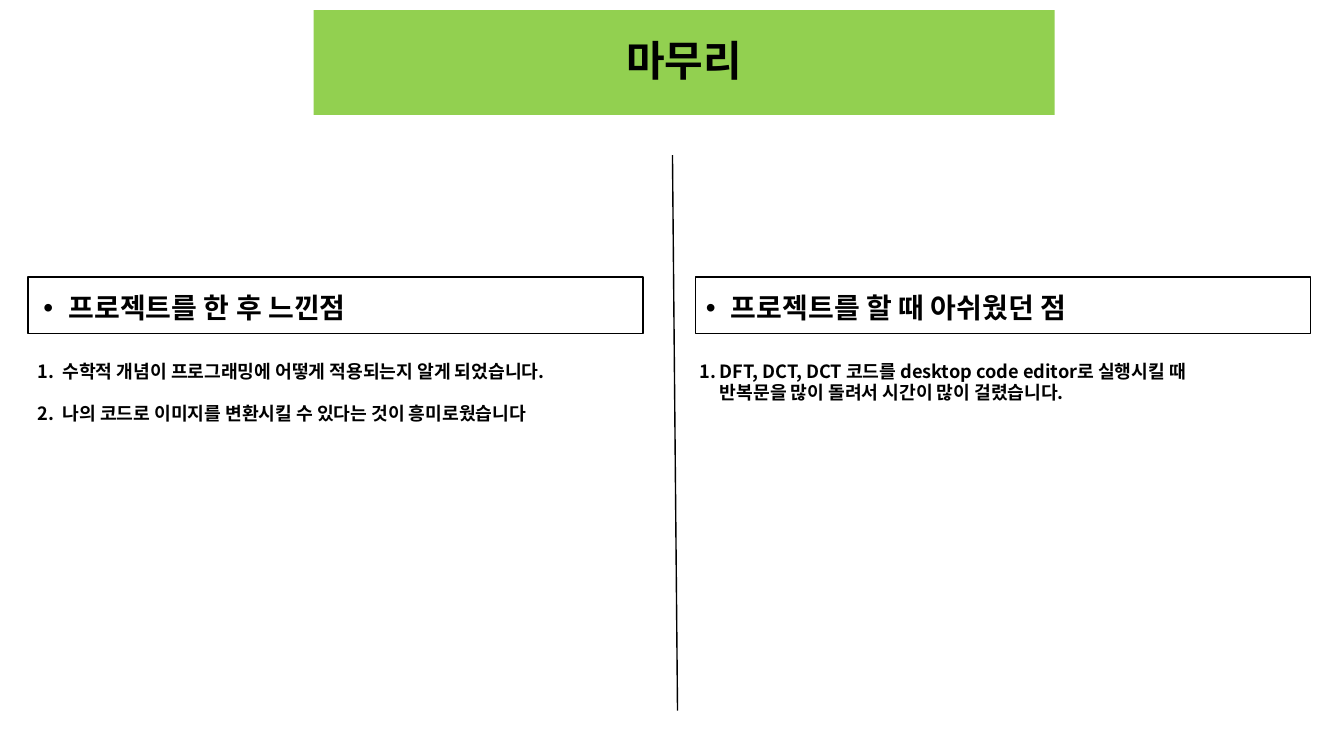
from lxml import etree
from pptx import Presentation
from pptx.dml.color import RGBColor
from pptx.enum.shapes import MSO_CONNECTOR, MSO_SHAPE
from pptx.enum.text import MSO_ANCHOR, MSO_AUTO_SIZE, PP_ALIGN
from pptx.oxml.ns import qn
from pptx.util import Inches, Pt

RECTANGLE = MSO_SHAPE.RECTANGLE
STRAIGHT = MSO_CONNECTOR.STRAIGHT
TOP, MIDDLE = MSO_ANCHOR.TOP, MSO_ANCHOR.MIDDLE
LEFT, CENTER = PP_ALIGN.LEFT, PP_ALIGN.CENTER
NO_FIT = MSO_AUTO_SIZE.NONE
COMPARISON_LAYOUT = 4


def color(hex_value):
    return RGBColor.from_string(hex_value)


class ComparisonSlide:
    font = "Noto Sans CJK KR"
    ink = "000000"
    paper = "FFFFFF"
    accent = "92D050"

    def __init__(self, presentation):
        layout = presentation.slide_layouts[COMPARISON_LAYOUT]
        self.slide = presentation.slides.add_slide(layout)

    def fill_placeholder(self, index, box, lines, size, anchor=TOP,
                         align=LEFT, line_spacing=1.0, gap=0):
        """Move a placeholder to box and write one paragraph per line."""
        holder = self.slide.placeholders[index]
        holder.left, holder.top, holder.width, holder.height = map(Inches, box)
        frame = holder.text_frame
        frame.text = "\n".join(lines)
        frame.word_wrap = True
        frame.auto_size = NO_FIT
        frame.vertical_anchor = anchor
        for number, paragraph in enumerate(frame.paragraphs):
            paragraph.alignment = align
            paragraph.line_spacing = line_spacing
            paragraph.space_before = Pt(gap if number else 0)
            for run in paragraph.runs:
                self.style_run(run, size)
        return holder

    def style_run(self, run, size):
        run.font.size = Pt(size)
        run.font.bold = True
        run.font.name = self.font
        run.font.color.rgb = color(self.ink)
        east_asian = etree.SubElement(run.font._element, qn("a:ea"))
        east_asian.set("typeface", self.font)

    def mark(self, holder, indent, tag, **attributes):
        """Give every paragraph a hanging bullet or number."""
        for paragraph in holder.text_frame.paragraphs:
            properties = paragraph._p.get_or_add_pPr()
            properties.set("marL", str(Inches(indent)))
            properties.set("indent", str(-Inches(indent)))
            etree.SubElement(properties, qn(tag), attributes)

    def title(self, text, box):
        banner = self.fill_placeholder(0, box, [text], 30, MIDDLE, CENTER, 0.9)
        banner.fill.solid()
        banner.fill.fore_color.rgb = color(self.accent)

    def heading(self, index, text, box):
        heading = self.fill_placeholder(index, box, [text], 20, line_spacing=0.9)
        self.mark(heading, 0.25, "a:buChar", char="•")

    def numbered_list(self, index, items, box, indent):
        points = self.fill_placeholder(index, box, items, 13, gap=15)
        self.mark(points, indent, "a:buAutoNum", type="arabicPeriod")

    def frame(self, box):
        """Draw an outlined rectangle behind the text."""
        frame = self.slide.shapes.add_shape(RECTANGLE, *map(Inches, box))
        frame.shadow.inherit = False
        frame.fill.solid()
        frame.fill.fore_color.rgb = color(self.paper)
        frame.line.color.rgb = color(self.ink)
        frame.line.width = Pt(1)
        self.slide.shapes._spTree.insert(2, frame._element)

    def divider(self, *ends):
        divider = self.slide.shapes.add_connector(STRAIGHT, *map(Inches, ends))
        divider.line.color.rgb = color(self.ink)
        divider.line.width = Pt(1)
        etree.SubElement(divider._element.spPr, qn("a:effectLst"))


def main():
    presentation = Presentation()
    presentation.slide_width = Inches(13.33)
    presentation.slide_height = Inches(7.5)
    closing = ComparisonSlide(presentation)

    closing.title("마무리", (3.11, 0.1, 7.35, 1.04))
    closing.divider(6.67, 1.54, 6.72, 7.05)

    impressions = [
        "수학적 개념이 프로그래밍에 어떻게 적용되는지 알게 되었습니다.",
        "나의 코드로 이미지를 변환시킬 수 있다는 것이 흥미로웠습니다",
    ]
    regrets = [
        "DFT, DCT, DCT 코드를 desktop code editor로 실행시킬 때\v"
        "반복문을 많이 돌려서 시간이 많이 걸렸습니다.",
    ]
    # placeholder, heading, items, then frame, heading and list left, list indent
    columns = [
        (1, "프로젝트를 한 후 느낀점", impressions, 0.28, 0.33, 0.27, 0.25),
        (3, "프로젝트를 할 때 아쉬웠던 점", regrets, 6.9, 6.9, 6.84, 0.2),
    ]
    for index, heading, items, frame_x, heading_x, list_x, indent in columns:
        closing.frame((frame_x, 2.75, 6.1, 0.56))
        closing.heading(index, heading, (heading_x, 2.87, 6.2, 0.44))
        closing.numbered_list(index + 1, items, (list_x, 3.52, 6.2, 0.75), indent)

    presentation.save("out.pptx")


if __name__ == "__main__":
    main()
